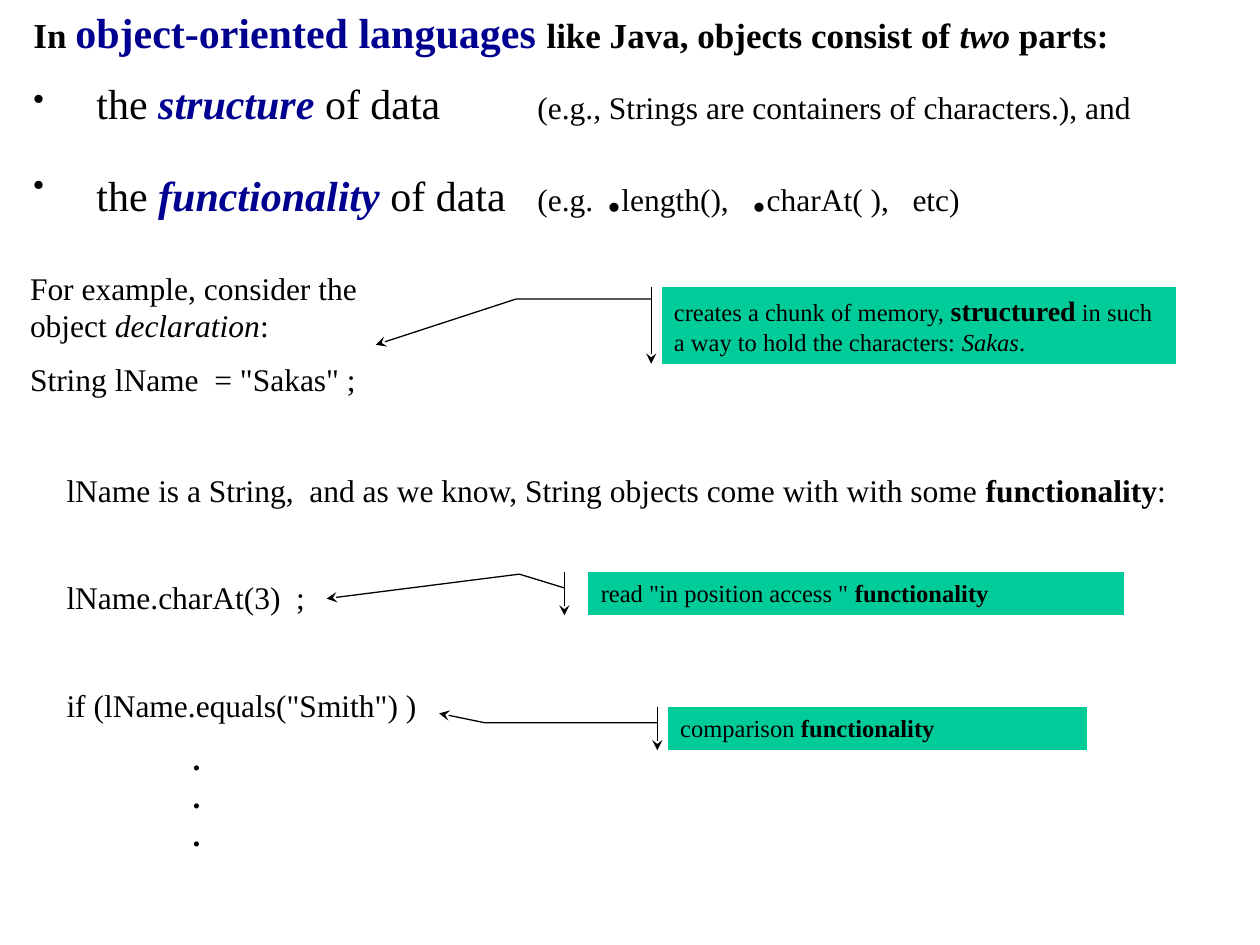
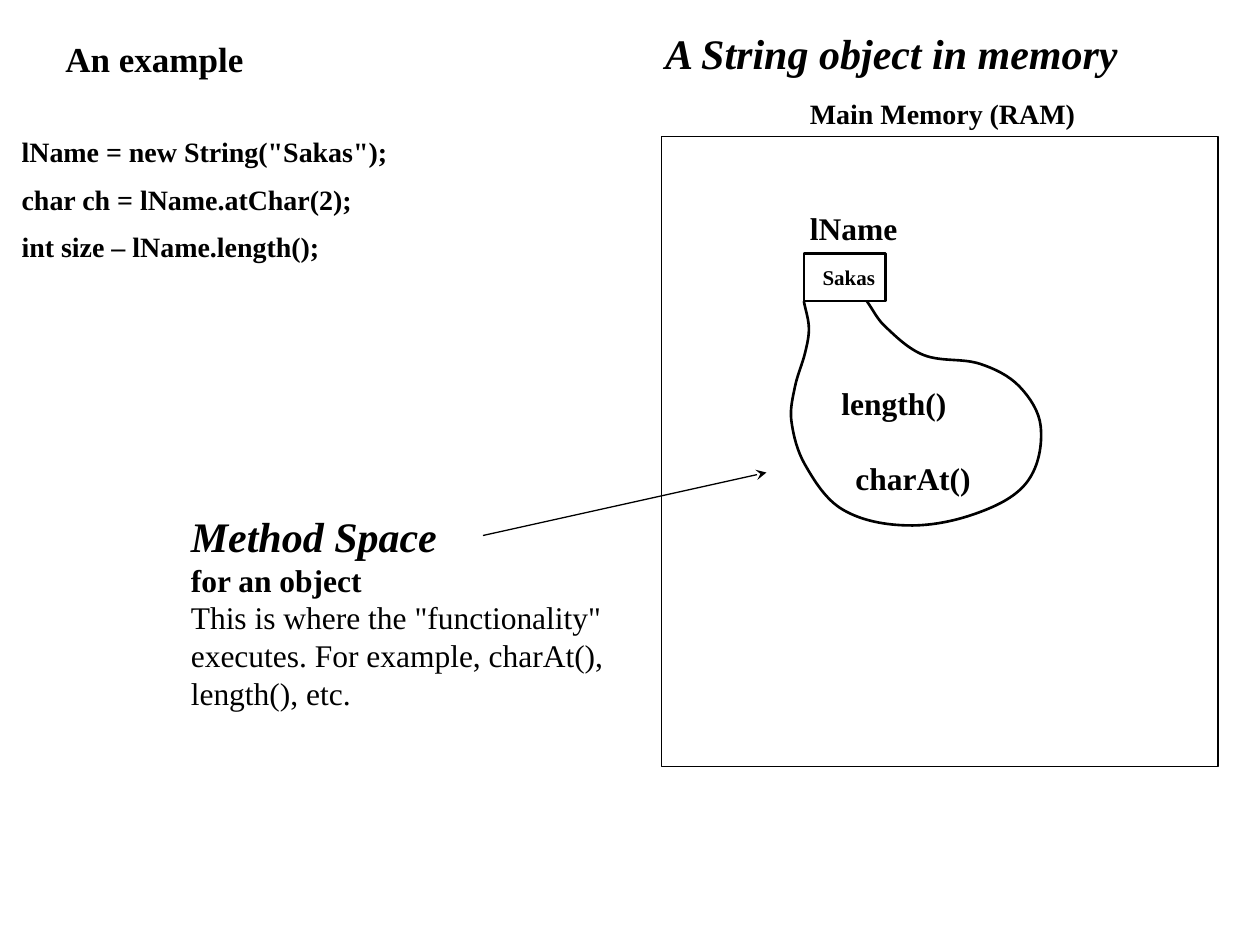
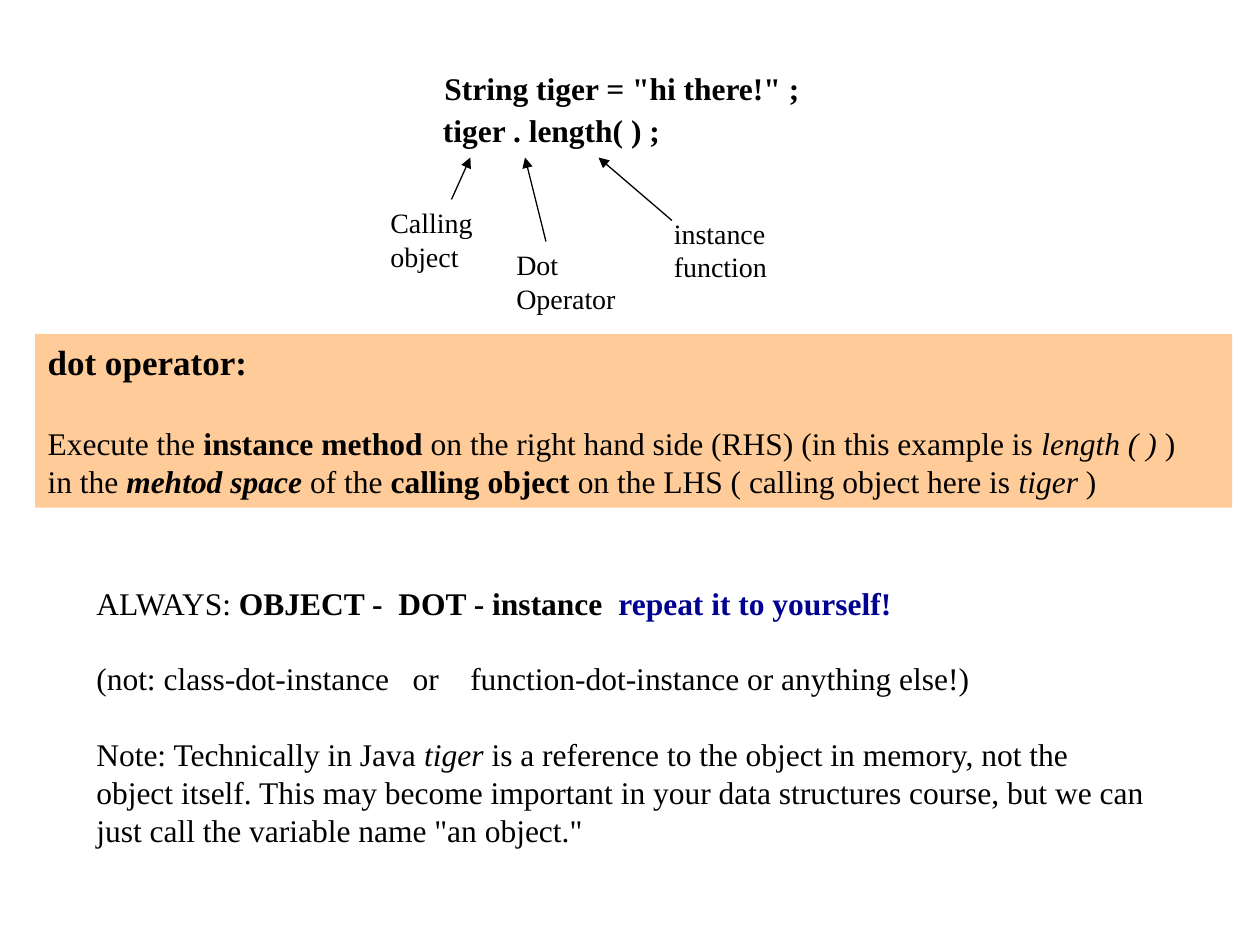
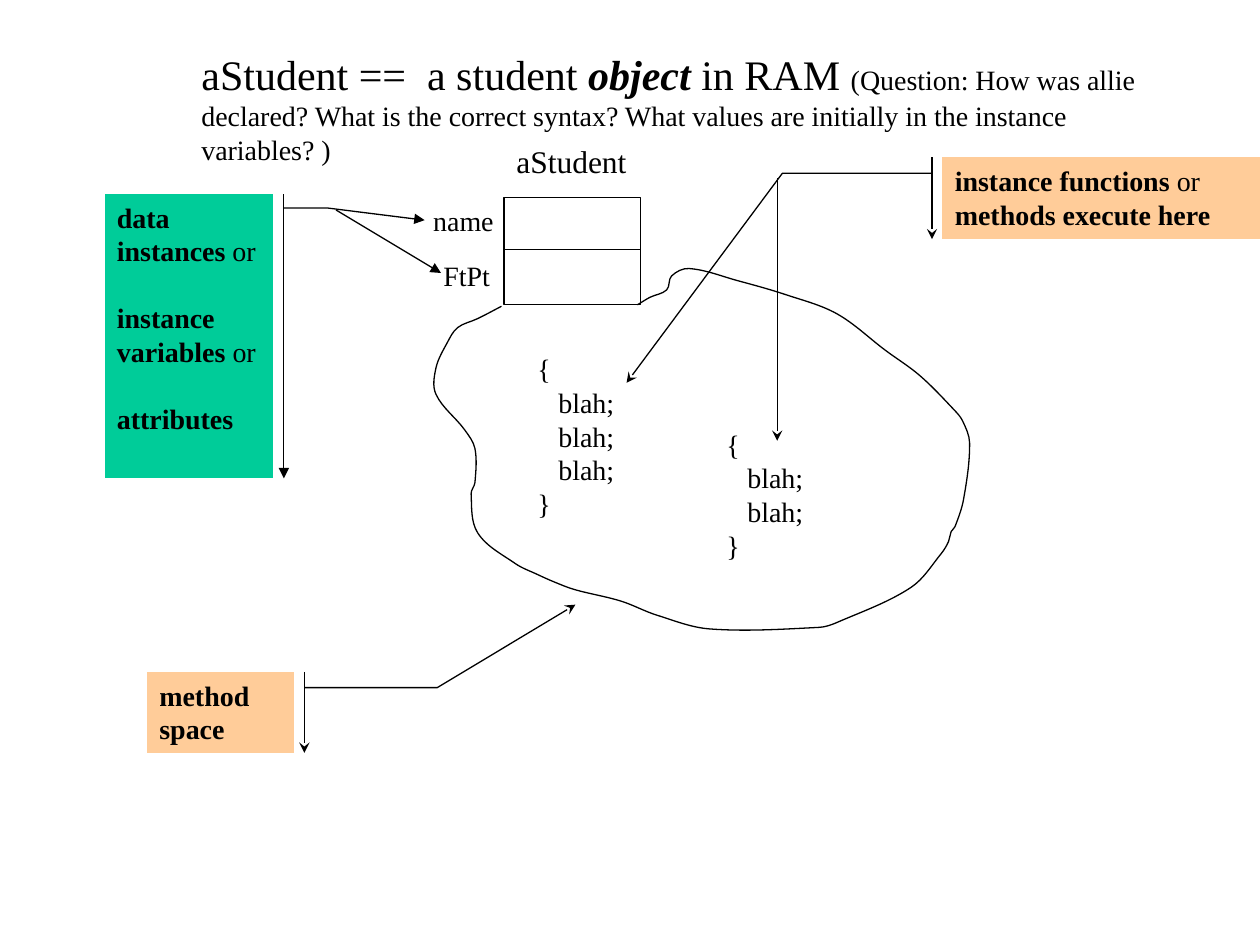
from dataclasses import dataclass
from math import dist

from lxml.etree import SubElement
from pptx import Presentation
from pptx.dml.color import RGBColor as RGB
from pptx.enum.shapes import MSO_CONNECTOR as CONN, MSO_SHAPE as SHAPE
from pptx.enum.text import MSO_ANCHOR as ANCHOR, PP_ALIGN as ALIGN
from pptx.oxml.ns import qn
from pptx.util import Inches, Pt


@dataclass(frozen=True)
class Theme:
    font: str = "Times New Roman"
    ink: RGB = RGB(0x00, 0x00, 0x00)
    navy: RGB = RGB(0x00, 0x00, 0x90)
    green: RGB = RGB(0x00, 0xCC, 0x99)
    peach: RGB = RGB(0xFF, 0xCC, 0x99)
    white: RGB = RGB(0xFF, 0xFF, 0xFF)
    title: int = 24
    head: int = 20
    body: int = 18
    label: int = 16
    note: int = 14
    small: int = 12
    dot: int = 32
    thin: float = 0.75
    thick: float = 1.5
    leading: float = 1.2


T = Theme()

prs = Presentation()
prs.slide_width, prs.slide_height = Inches(10), Inches(7.5)

# The slide is a grid of 120 columns by 90 rows
CELL = prs.slide_width / 120


def cells(*values):
    return [round(v * CELL) for v in values]


@dataclass(frozen=True)
class Box:
    x: float
    y: float
    w: float
    h: float

    def inner(self, x, y, w, h):
        """A box placed from this box's corner, in grid cells."""
        return Box(self.x + x, self.y + y, w, h)

    def share(self, px, py):
        """A point at percentages of this box, as EMU."""
        return cells(self.x + self.w * px / 100, self.y + self.h * py / 100)

    def emu(self):
        return cells(self.x, self.y, self.w, self.h)


# ---- Text: a run is (text, size, style), style from b, i and n (navy) ----

@dataclass
class Para:
    runs: list
    before: float = 0
    bullet: bool = False
    tabs: tuple = ()


def para(text, size=T.body, style="", **layout):
    return Para([(text, size, style)], **layout)


def add_run(p, words, size, style):
    r = p.add_run()
    r.text = words
    f = r.font
    f.name, f.size = T.font, Pt(size)
    f.bold, f.italic = "b" in style, "i" in style
    f.color.rgb = T.navy if "n" in style else T.ink


def write(sp, paras):
    tf = sp.text_frame
    tf.word_wrap, tf.vertical_anchor = True, ANCHOR.TOP
    for n, item in enumerate(paras):
        p = tf.add_paragraph() if n else tf.paragraphs[0]
        p.alignment = ALIGN.LEFT
        p.space_before = Pt(item.before)
        pPr = p._p.get_or_add_pPr()
        if item.bullet:
            SubElement(pPr, qn("a:buChar")).set("char", "•")
        if item.tabs:
            stops = SubElement(pPr, qn("a:tabLst"))
            for pos in cells(*item.tabs):
                stop = SubElement(stops, qn("a:tab"))
                stop.set("pos", str(pos))
                stop.set("algn", "l")
        for words, size, style in item.runs:
            for k, part in enumerate(words.split("\n")):
                if k:
                    p.add_line_break()
                    br = p._p[-1]
                    SubElement(br, qn("a:rPr")).set("sz", str(size * 100))
                add_run(p, part, size, style)


def text(s, box, *paras):
    write(s.shapes.add_textbox(*box.emu()), paras)


# ---- Shapes ----

def stroke(sp, width=T.thin, arrow=None):
    sp.line.color.rgb, sp.line.width = T.ink, Pt(width)
    if arrow:
        SubElement(sp.line._get_or_add_ln(), qn("a:tailEnd")).set("type", arrow)


def paint(sp, fill):
    sp.shadow.inherit = False
    if fill is None:
        sp.fill.background()
    else:
        sp.fill.solid()
        sp.fill.fore_color.rgb = fill


def rect(s, box, fill=None, width=T.thin):
    sp = s.shapes.add_shape(SHAPE.RECTANGLE, *box.emu())
    paint(sp, fill)
    if width:
        stroke(sp, width)
    else:
        sp.line.fill.background()
    return sp


def callout(s, box, fill, leader, *paras, arrow="stealth"):
    sp = s.shapes.add_shape(SHAPE.LINE_CALLOUT_2_ACCENT_BAR, *box.emu())
    for n, value in enumerate(leader):
        sp.adjustments[n] = value
    paint(sp, fill)
    stroke(sp, arrow=arrow)
    write(sp, paras)


def line(s, start, end, arrow=None):
    sp = s.shapes.add_connector(CONN.STRAIGHT, *cells(*start, *end))
    stroke(sp, arrow=arrow)
    SubElement(sp._element.spPr, qn("a:effectLst"))


def handle(knot, before, after, reach):
    """Control point beside a knot, along the line between its neighbours."""
    k = reach / (3 * (dist(before, after) or 1))
    return [v + (b - a) * k for v, a, b in zip(knot, before, after)]


def bend(sp):
    """Turn the straight segments of a freeform into Bezier curves."""
    knots = [(int(pt.get("x")), int(pt.get("y")))
             for pt in sp._element.iter(qn("a:pt"))]
    ends = [knots[0], *knots, knots[-1]]
    segments = list(sp._element.iter(qn("a:lnTo")))
    for seg, a, b, c, d in zip(segments, ends, ends[1:], ends[2:], ends[3:]):
        reach = dist(b, c)
        seg.tag = qn("a:cubicBezTo")
        seg.remove(seg[0])
        for x, y in (handle(b, a, c, reach), handle(c, d, b, reach), c):
            pt = SubElement(seg, qn("a:pt"))
            pt.set("x", str(round(x)))
            pt.set("y", str(round(y)))


def curve(s, box, knots, width):
    points = [box.share(*pt) for pt in knots]
    fb = s.shapes.build_freeform(*points[0])
    fb.add_line_segments(points[1:], close=False)
    sp = fb.convert_to_shape()
    bend(sp)
    paint(sp, None)
    stroke(sp, width)


def new_slide():
    return prs.slides.add_slide(prs.slide_layouts[6])


# ---- Slide 1: structure and functionality ----

def two_parts(s, box):
    bullet = dict(bullet=True, tabs=(6, 48))
    text(s, box,
         Para([("In ", T.head, "b"),
               ("object-oriented languages ", T.title, "bn"),
               ("like Java, objects consist of ", T.head, "b"),
               ("two", T.head, "bi"), (" parts:", T.head, "b")]),
         Para([("\t", T.body, ""), ("the ", T.title, ""),
               ("structure", T.title, "bin"), (" of data ", T.title, ""),
               ("\t(e.g., Strings are containers of characters.), and", T.body, "")],
              before=T.title / 2, **bullet),
         Para([("\t", T.body, ""), ("the ", T.title, ""),
               ("functionality ", T.title, "bin"), ("of data ", T.title, ""),
               ("\t(e.g.", T.body, ""), (" ", T.dot, ""), (".", T.dot, "b"),
               ("length(),   ", T.body, ""), (".", T.dot, "b"),
               ("charAt( ),   etc)", T.body, "")],
              before=T.dot / 2, **bullet))


def declaration(s, box):
    text(s, box.inner(0, 0, 34.32, 13.92),
         Para([("For example, consider the object ", T.body, ""),
               ("declaration", T.body, "i"), (":", T.body, "")]),
         para('String lName  = "Sakas" ;', before=T.body / 2))
    callout(s, box.inner(61.32, 2.36, 48.96, 7.28), T.green,
            (0.154, -0.02, 0.154, -0.283, 0.753, -0.556),
            Para([("creates a chunk of memory, ", T.note, ""),
                  ("structured", T.label, "b"),
                  (" in such a way to hold the characters: ", T.note, ""),
                  ("Sakas", T.note, "i"), (".", T.note, "")]))


def method_calls(s, box):
    half = T.body / 2
    text(s, box.inner(0, 10.22, 43.92, 33.96),
         para("lName.charAt(3)  ; "),
         para('if (lName.equals("Smith") )  ',
              before=2 * half + T.body * T.leading),
         para("\t.\n\t.\n\t.", style="b", before=half, tabs=(12,)))
    for place, leader, words in (
            (box.inner(50.88, 10.22, 51, 4.12),
             (0.364, -0.045, 0.045, -0.129, 0.611, -0.489),
             'read "in position access " '),
            (box.inner(58.44, 23.06, 39.96, 4.12),
             (0.364, -0.025, 0.364, -0.436, 0.147, -0.545),
             "comparison ")):
        callout(s, place, T.green, leader,
                Para([(words, T.note, ""), ("functionality", T.note, "b")]))
    text(s, box.inner(0, 0, 107.52, 4.8),
         Para([("lName is a String,  and as we know, String objects come "
                "with with some ", T.body, ""),
               ("functionality", T.body, "b"), (":", T.body, "")]))


s = new_slide()
two_parts(s, Box(2, 0, 123, 23))
declaration(s, Box(1.68, 25, 110.3, 13.9))
method_calls(s, Box(5.16, 44.28, 108, 44.2))


# ---- Slide 2: a String object in memory ----

FLASK = [(5.5, 0), (7.5, 12), (6, 23), (2, 38), (0.5, 53), (6, 73), (21, 93),
         (47, 100), (75.5, 94), (94.5, 80), (99.5, 56), (91, 38), (75.5, 28),
         (53, 24), (37.5, 11), (30.5, 0)]


def example_code(s, box):
    lines = ('lName = new String("Sakas");', "char ch = lName.atChar(2);",
             "int size – lName.length();")
    text(s, box, *(para(words, T.label, "b", before=T.label / 2 if n else 0)
                   for n, words in enumerate(lines)))
    text(s, box.inner(4.16, -9.24, 55, 5.2), para("An example", T.head, "b"))


def memory(s, box):
    rect(s, box)
    rect(s, box.inner(13.56, 11.12, 7.8, 4.56), T.white, T.thick)
    curve(s, box.inner(12.24, 15.68, 24, 21.36), FLASK, T.thick)
    for words, size, style, place in (
            ("Main Memory (RAM)", T.label, "b", (12.96, -4.44, 29.64, 3.6)),
            ("lName", T.body, "b", (12.96, 6.32, 11.04, 3.72)),
            ("Sakas", T.small, "b", (14.16, 11.6, 7.8, 3.72)),
            ("length()", T.body, "b", (15.96, 23, 12.96, 4.8)),
            ("charAt()", T.body, "b", (17.28, 30.16, 21, 4.8)),
            ("A String object in memory", T.title, "bi", (-0.84, -11, 51, 6.4))):
        text(s, box.inner(*place), para(words, size, style))


def method_space(s, box):
    text(s, box, para("Method Space", T.title, "bi"),
         para("for an object", style="b"),
         para('This is where the "functionality" executes. '
              "For example, charAt(), length(), etc. "))
    line(s, (box.x + 29, box.y + 3), (box.x + 56, box.y - 3), "stealth")


s = new_slide()
memory(s, Box(63, 13, 53, 60))
example_code(s, Box(0.88, 12.24, 40.56, 18.96))
method_space(s, Box(17, 48, 43, 22))


# ---- Slide 3: the dot operator ----

def call_anatomy(s, box):
    text(s, box.inner(5, 4, 40, 8), para("tiger . length( ) ;", style="b"))
    for words, place, start, tip in (
            ("Calling object", (0, 13, 11, 8), (7, 13), 8.8),
            ("Dot Operator", (12, 17, 12, 8), (16, 17), 14),
            ("instance function", (27, 14, 12, 9), (28, 15), 21)):
        text(s, box.inner(*place), para(words, T.label))
        line(s, (box.x + start[0], box.y + start[1]),
             (box.x + tip, box.y + 9), "triangle")
    text(s, box.inner(5.14, 0, 36.6, 4.8),
         para('String tiger = "hi there!" ;', style="b"))


def dot_rule(s, box):
    write(rect(s, box, T.peach, width=0), [
        para("dot operator:", T.head, "b"),
        Para([("Execute the ", T.body, ""), ("instance method", T.body, "b"),
              (" on the right hand side (RHS) (in this example is ", T.body, ""),
              ("length ( )", T.body, "i"), (" ) \nin the ", T.body, ""),
              ("mehtod space", T.body, "bi"), (" of the ", T.body, ""),
              ("calling object ", T.body, "b"),
              ("on the LHS ( calling object here is ", T.body, ""),
              ("tiger", T.body, "i"), (" )", T.body, "")],
             before=T.head * T.leading)])


def reminder(s, box):
    gap = T.body * T.leading
    text(s, box,
         Para([("ALWAYS: ", T.body, ""),
               ("OBJECT -  DOT - instance  ", T.body, "b"),
               ("repeat it to yourself!", T.body, "bn")]),
         para("(not: class-dot-instance   or    function-dot-instance "
              "or anything else!)", before=gap),
         Para([("Note: Technically in Java ", T.body, ""),
               ("tiger", T.body, "i"),
               (" is a reference to the object in memory, not the object itself. "
                "This may become important in your data structures course, but "
                'we can just call the variable name "an object."', T.body, "")],
              before=gap))


s = new_slide()
call_anatomy(s, Box(36, 6, 40, 25))
reminder(s, Box(8, 55, 103, 26.64))
dot_rule(s, Box(3.36, 31.8, 114, 16.56))


# ---- Slide 4: a student object in RAM ----

CLOUD = [(12.8, 13.5), (8.4, 16.8), (4.7, 19.2), (2.8, 23.2), (0.7, 30),
         (0.7, 37), (6, 46.5), (7.9, 51.5), (7.9, 60.6), (7.2, 63.6),
         (8.4, 74), (15.3, 82.2), (19.5, 85.2), (22.6, 87.2), (26.3, 89.2),
         (34.9, 92.3), (41.4, 96), (51.2, 99.7), (71.4, 99.3), (74.7, 98),
         (88.4, 88.6), (94, 79.5), (95.3, 76.4), (95.8, 73.7), (96.5, 72.4),
         (98.1, 65), (99.2, 50), (97.9, 44.1), (96.3, 41.1), (90, 32),
         (83.7, 25.3), (74.7, 15.5), (65.3, 10.4), (56.5, 6.7), (47.4, 3.4),
         (44.2, 5.4), (43.3, 9.1), (40.2, 11.1), (37.9, 13.1)]


def question(s, box):
    text(s, box, Para([
        ("aStudent ==  a student ", T.title, ""), ("object", T.title, "bi"),
        (" in RAM ", T.title, ""),
        ("(Question: How was allie declared? What is the correct syntax? What "
         "values are initially in the instance variables? )", T.label, "")]))


def fields(s, box):
    rect(s, box)
    middle = box.y + 4.96
    line(s, (box.x, middle), (box.x + box.w, middle))
    text(s, box.inner(-7.92, 0, 11.64, 4.44), para("name", T.label))
    text(s, box.inner(-6.96, 5.28, 8.04, 4.44), para("FtPt", T.label))
    text(s, box.inner(0, -5.84, 17, 6), para("aStudent"))


def method_body(s, box, statements):
    words = "\n".join(["{", *("\t" + st for st in statements), "}"])
    text(s, box, para(words, T.label, tabs=(2,)))


def data_label(s, box):
    gap = T.label * T.leading
    callout(s, box, T.green, (0.049, 1.062, 0.049, 1.316, 0.092, 1.896),
            Para([("data instances", T.label, "b"), (" or", T.label, "")]),
            Para([("instance variables ", T.label, "b"), ("or", T.label, "")],
                 before=gap),
            para("attributes", T.label, "b", before=gap), arrow="triangle")
    line(s, (box.x + 22.04, box.y + 1.52), (box.x + 32.04, box.y + 7.52),
         "triangle")


def space_label(s, box):
    callout(s, box, T.peach, (0.194, 1.071, 0.194, 1.975, -0.833, 2.915),
            para("method", T.label, "b"), para("space", T.label, "b"))


def functions_label(s, box):
    callout(s, box, T.peach, (0.194, -0.033, 0.194, -0.504, 2.753, -0.995),
            Para([("instance functions", T.label, "b"), (" or ", T.label, ""),
                  ("methods execute here", T.label, "b")]))
    x = box.x - 15.74
    line(s, (x, box.y + 2), (x, box.y + 27), "stealth")


s = new_slide()
question(s, Box(18, 4, 94, 12.5))
fields(s, Box(48, 18.8, 13, 10.2))
data_label(s, Box(9.96, 18.48, 16.08, 27.08))
curve(s, Box(41.16, 24.36, 51.6, 35.64), CLOUD, T.thin)
space_label(s, Box(14, 64, 14, 7.7))
method_body(s, Box(50, 32.92, 21, 30.12), ["blah;"] * 3)
method_body(s, Box(68, 40.12, 21, 26.88), ["blah;", "blah; "])
functions_label(s, Box(89.76, 14.98, 30.24, 7.8))

prs.save("out.pptx")
